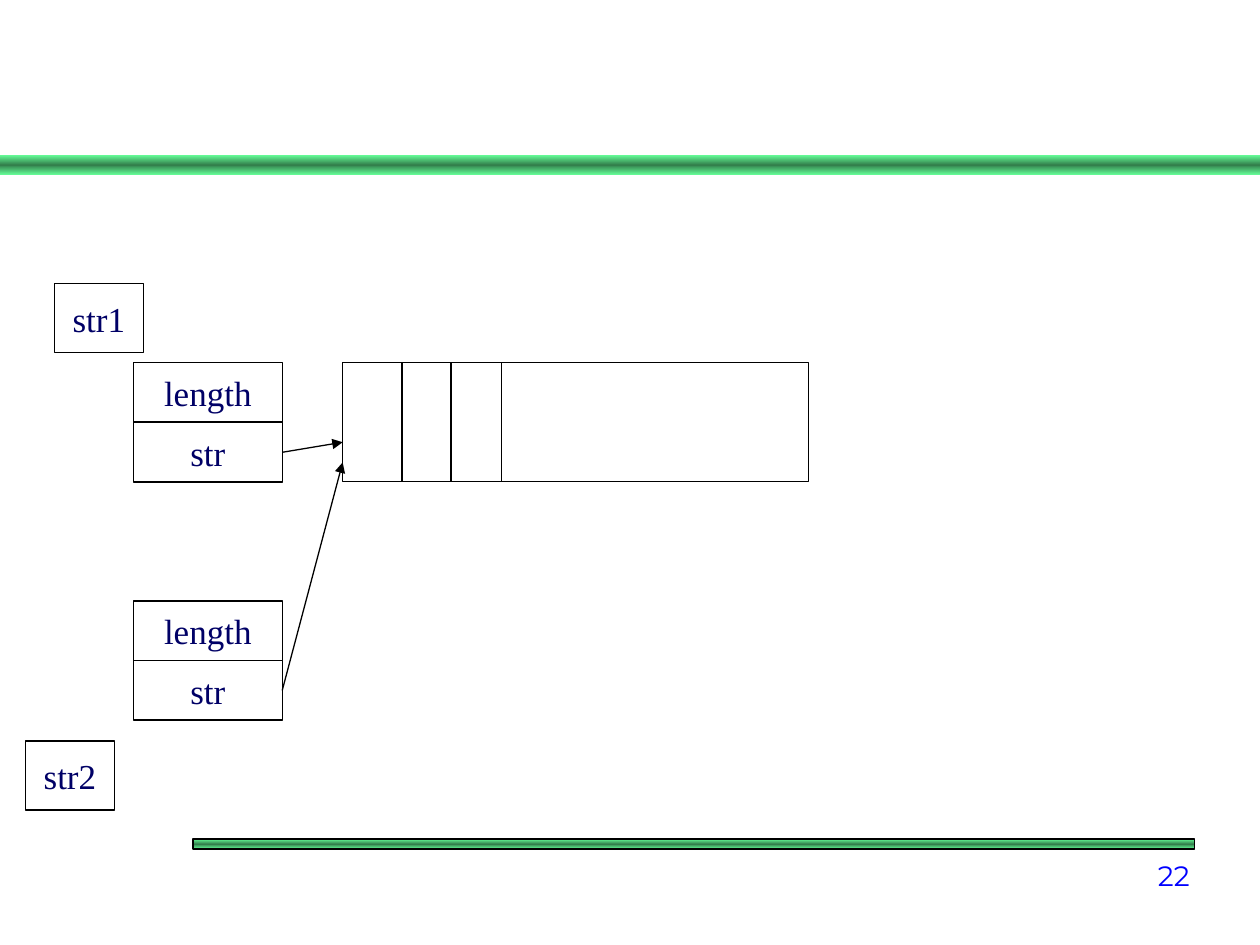
import copy

import pptx
import pptx.dml.color
import pptx.enum.shapes
import pptx.enum.text
import pptx.oxml
import pptx.oxml.ns
import pptx.util

Inches = pptx.util.Inches
Pt = pptx.util.Pt
RGBColor = pptx.dml.color.RGBColor
Align = pptx.enum.text.PP_ALIGN
Anchor = pptx.enum.text.MSO_ANCHOR

THEME = {
    "white": RGBColor.from_string("FFFFFF"),
    "line": RGBColor.from_string("000000"),
    "text": RGBColor.from_string("000066"),
    "number": RGBColor.from_string("0000FF"),
    "bar_edge": RGBColor.from_string("66FF99"),
    "bar_middle": RGBColor.from_string("337F4C"),
    "font": "Times New Roman",
    "number_font": "Montserrat",
    "size": 20,
    "number_size": 16,
    "line_width": 0.75,
}

# Bars: left, top, width, height, outline width
BARS = [(0, 1.23, 10, 0.16, None), (1.53, 6.66, 7.95, 0.08, 1)]
PAGE_NUMBER = "22"

# Each string object: name, name position, top of its fields, arrow tip height
STRINGS = [
    {"name": "str1", "name_at": (0.43, 2.25), "top": 2.88, "tip": 3.51},
    {"name": "str2", "name_at": (0.2, 5.88), "top": 4.77, "tip": 3.67},
]
FIELDS = ["length", "str"]
NAME_SIZE = (0.71, 0.55)
FIELD_LEFT, FIELD_WIDTH, FIELD_HEIGHT, FIELD_STEP = 1.06, 1.18, 0.47, 0.475
BUFFER = (2.72, 2.88, 3.7, 0.945)
DIVIDERS = [3.19, 3.58, 3.98]


def add_rectangle(slide, left, top, width, height, line_width):
    shape = slide.shapes.add_shape(
        pptx.enum.shapes.MSO_SHAPE.RECTANGLE,
        Inches(left), Inches(top), Inches(width), Inches(height))
    shape.shadow.inherit = False
    if line_width is None:
        shape.line.fill.background()
    else:
        shape.line.color.rgb = THEME["line"]
        shape.line.width = Pt(line_width)
    return shape


def add_bar(slide, left, top, width, height, line_width):
    """Add a rectangle shaded from light edges to a dark middle."""
    shape = add_rectangle(slide, left, top, width, height, line_width)
    shape.fill.gradient()
    shape.fill.gradient_angle = 90
    stops = shape.fill.gradient_stops
    stops[0].color.rgb = stops[1].color.rgb = THEME["bar_edge"]
    stop_list = shape._element.spPr.find(".//" + pptx.oxml.ns.qn("a:gsLst"))
    stop_list.insert(1, copy.deepcopy(stop_list[0]))
    middle = shape.fill.gradient_stops[1]
    middle.position = 0.5
    middle.color.rgb = THEME["bar_middle"]


def write(shape, text, font_name, size, color, alignment, anchor):
    text_frame = shape.text_frame
    text_frame.text = text
    text_frame.vertical_anchor = anchor
    paragraph = text_frame.paragraphs[0]
    paragraph.alignment = alignment
    font = paragraph.runs[0].font
    font.name, font.size, font.color.rgb = font_name, Pt(size), color
    return paragraph


def add_box(slide, left, top, width, height, text=""):
    shape = add_rectangle(slide, left, top, width, height, THEME["line_width"])
    shape.fill.solid()
    shape.fill.fore_color.rgb = THEME["white"]
    if text:
        paragraph = write(shape, text, THEME["font"], THEME["size"],
                          THEME["text"], Align.CENTER, Anchor.MIDDLE)
        paragraph.space_before = Pt(5)
        shape.text_frame.word_wrap = False


def add_line(slide, start, end, arrow=False):
    connector = slide.shapes.add_connector(
        pptx.enum.shapes.MSO_CONNECTOR.STRAIGHT,
        *(Inches(value) for value in (*start, *end)))
    connector.line.color.rgb = THEME["line"]
    connector.line.width = Pt(THEME["line_width"])
    if arrow:
        head = pptx.oxml.parse_xml(
            f'<a:tailEnd {pptx.oxml.ns.nsdecls("a")} type="triangle"/>')
        connector.line._get_or_add_ln().append(head)
    connector._element.spPr.append(pptx.oxml.parse_xml(
        f'<a:effectLst {pptx.oxml.ns.nsdecls("a")}/>'))


def add_string(slide, string):
    """Add a string's name, its fields and the arrow to the shared buffer."""
    add_box(slide, *string["name_at"], *NAME_SIZE, string["name"])
    for index, field in enumerate(FIELDS):
        top = string["top"] + index * FIELD_STEP
        add_box(slide, FIELD_LEFT, top, FIELD_WIDTH, FIELD_HEIGHT, field)
    add_line(slide, (FIELD_LEFT + FIELD_WIDTH, top + FIELD_HEIGHT / 2),
             (BUFFER[0], string["tip"]), arrow=True)


def main():
    presentation = pptx.Presentation()
    presentation.slide_width = Inches(10)
    presentation.slide_height = Inches(7.5)
    slide = presentation.slides.add_slide(presentation.slide_layouts[6])

    for bar in BARS:
        add_bar(slide, *bar)
    number = slide.shapes.add_textbox(
        Inches(8.75), Inches(6.74), Inches(0.79), Inches(0.39))
    number.text_frame.word_wrap = True
    write(number, PAGE_NUMBER, THEME["number_font"], THEME["number_size"],
          THEME["number"], Align.RIGHT, Anchor.BOTTOM)

    add_box(slide, *BUFFER)
    for x in DIVIDERS:
        add_line(slide, (x, BUFFER[1]), (x, BUFFER[1] + BUFFER[3]))
    for string in STRINGS:
        add_string(slide, string)

    presentation.save("out.pptx")


if __name__ == "__main__":
    main()
